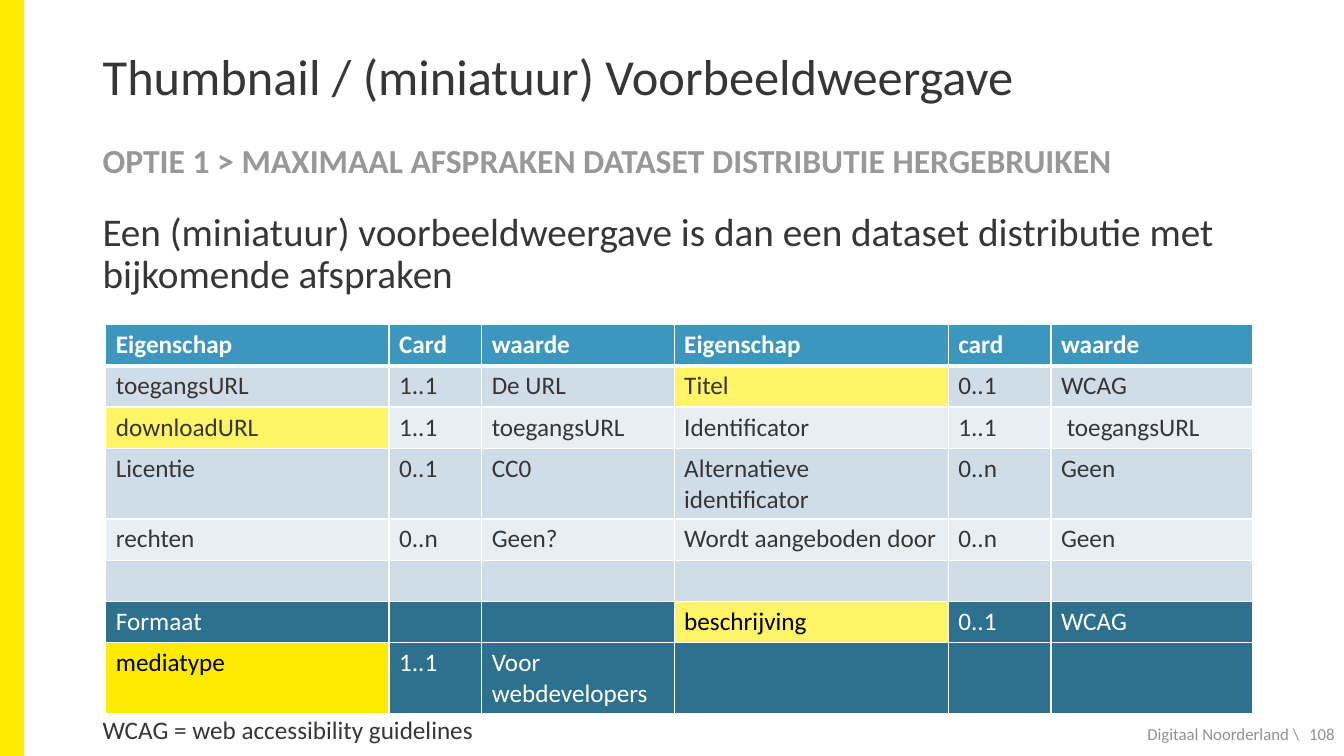
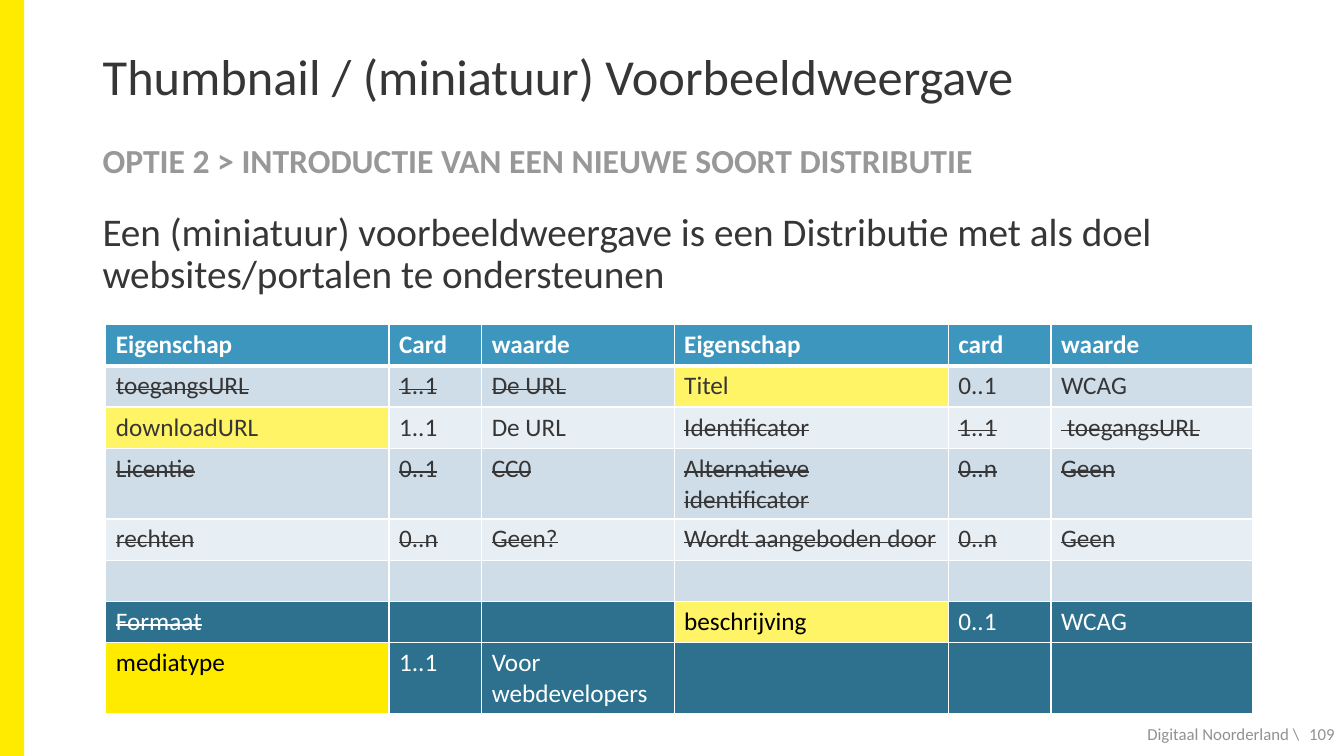
from lxml.etree import SubElement
from pptx import Presentation
from pptx.dml.color import RGBColor
from pptx.enum.shapes import MSO_SHAPE
from pptx.enum.text import MSO_ANCHOR, MSO_AUTO_SIZE, PP_ALIGN
from pptx.oxml.ns import qn
from pptx.util import Pt

YELLOW = RGBColor(0xFF, 0xEB, 0x00)
PALE_YELLOW = RGBColor(0xFF, 0xF3, 0x66)
BLUE = RGBColor(0x3C, 0x96, 0xBE)
DARK_BLUE = RGBColor(0x2D, 0x71, 0x8E)
BAND_ODD = RGBColor(0xCE, 0xDD, 0xE8)
BAND_EVEN = RGBColor(0xE8, 0xEF, 0xF4)
INK = RGBColor(0x37, 0x36, 0x36)
GREY = RGBColor(0x98, 0x98, 0x98)
FOOTER_GREY = RGBColor(0x91, 0x91, 0x91)
WHITE = RGBColor(0xFF, 0xFF, 0xFF)
BLACK = RGBColor(0x00, 0x00, 0x00)

LEFT, WIDTH = 66.2, 828
COLUMN_WIDTHS = (202.3, 66.2, 137.5, 195.8, 73.4, 144)
ROW_HEIGHT = 29.5
FIRST_DARK_ROW = 6
HIGHLIGHTS = {(1, 3): PALE_YELLOW, (2, 0): PALE_YELLOW,
              (6, 3): PALE_YELLOW, (7, 0): YELLOW}


def property_rows(download_value):
    return (
        ("Eigenschap", "Card", "waarde", "Eigenschap", "card", "waarde"),
        ("toegangsURL", "1..1", "De URL", "Titel", "0..1", "WCAG"),
        ("downloadURL", "1..1", download_value, "Identificator", "1..1", " toegangsURL"),
        ("Licentie", "0..1", "CC0", "Alternatieve identificator", "0..n", "Geen"),
        ("rechten", "0..n", "Geen?", "Wordt aangeboden door", "0..n", "Geen"),
        ("",) * 6,
        ("Formaat", "", "", "beschrijving", "0..1", "WCAG"),
        ("mediatype", "1..1", "Voor webdevelopers", "", "", ""),
    )


def write(tf, text, size=18, color=INK, bold=False, strike=False,
          align=PP_ALIGN.LEFT, spacing=None):
    p = tf.paragraphs[0]
    p.alignment = align
    p.line_spacing = spacing
    p.font.size = Pt(size)
    if not text:
        return
    r = p.add_run()
    r.text = text
    r.font.name = "Calibri"
    r.font.size = Pt(size)
    r.font.bold = bold
    r.font.color.rgb = color
    if strike:
        r._r.get_or_add_rPr().set("strike", "sngStrike")


def set_borders(cell, **widths):
    """Draw white cell borders; widths maps L, R, T and B to points."""
    tc_pr = cell._tc.get_or_add_tcPr()
    for side, width in widths.items():
        ln = SubElement(tc_pr, qn(f"a:ln{side}"), w=str(Pt(width)))
        fill = SubElement(ln, qn("a:solidFill"))
        SubElement(fill, qn("a:srgbClr"), val=str(WHITE))


def cell_colors(row, col):
    """Return the fill and text colours of a table cell."""
    if row == 0:
        return BLUE, WHITE
    dark = row >= FIRST_DARK_ROW
    if (row, col) in HIGHLIGHTS:
        return HIGHLIGHTS[row, col], BLACK if dark else INK
    if dark:
        return DARK_BLUE, WHITE
    return (BAND_ODD if row % 2 else BAND_EVEN), INK


class Deck:
    """Holds the shared style and the slide being built."""

    def __init__(self):
        self.prs = Presentation()
        self.prs.slide_width, self.prs.slide_height = Pt(960), Pt(540)
        self.s = None

    def new_slide(self, title, number):
        self.s = self.prs.slides.add_slide(self.prs.slide_layouts[5])
        self.band()
        self.title(title)
        self.text("Digitaal Noorderland \\", 772.6, 509.8, 162.7, 28.8, size=12,
                  color=FOOTER_GREY, align=PP_ALIGN.RIGHT, anchor=MSO_ANCHOR.MIDDLE)
        self.text(str(number), 894.2, 509.8, 66.2, 28.8, size=12,
                  color=FOOTER_GREY, align=PP_ALIGN.RIGHT, anchor=MSO_ANCHOR.MIDDLE)

    def band(self):
        sp = self.s.shapes.add_shape(MSO_SHAPE.RECTANGLE, 0, 0, Pt(17.3), Pt(540))
        sp.shadow.inherit = False
        sp.fill.solid()
        sp.fill.fore_color.rgb = YELLOW
        sp.line.fill.background()

    def title(self, text):
        sp = self.s.shapes.title
        sp.left, sp.top, sp.width, sp.height = Pt(LEFT), Pt(28.8), Pt(WIDTH), Pt(55.4)
        tf = sp.text_frame
        tf.auto_size = MSO_AUTO_SIZE.NONE
        tf.vertical_anchor = MSO_ANCHOR.MIDDLE
        write(tf, text, size=36, spacing=0.9)

    def text(self, text, x, y, w, h, anchor=MSO_ANCHOR.TOP, wrap=True, **style):
        tf = self.s.shapes.add_textbox(Pt(x), Pt(y), Pt(w), Pt(h)).text_frame
        tf.word_wrap = wrap
        tf.vertical_anchor = anchor
        write(tf, text, **style)

    def subtitle(self, text):
        self.text(text, LEFT, 97.9, WIDTH, 36.7, anchor=MSO_ANCHOR.MIDDLE,
                  size=24, color=GREY, bold=True, spacing=0.9)

    def statement(self, text):
        self.text(text, LEFT, 148.3, WIDTH, 80, size=28, spacing=0.9)

    def table(self, rows, struck):
        """Add the property table; struck holds (row, half) pairs to cross out."""
        table = self.s.shapes.add_table(
            len(rows), len(COLUMN_WIDTHS), Pt(75.6), Pt(231.8),
            Pt(sum(COLUMN_WIDTHS)), Pt(ROW_HEIGHT * len(rows))).table
        table.horz_banding = False
        for column, width in zip(table.columns, COLUMN_WIDTHS):
            column.width = Pt(width)
        for i, row in enumerate(rows):
            table.rows[i].height = Pt(ROW_HEIGHT)
            for j, text in enumerate(row):
                cell = table.cell(i, j)
                fill, color = cell_colors(i, j)
                set_borders(cell, L=1, R=1, T=3 if i == 1 else 1, B=3 if i == 0 else 1)
                cell.fill.solid()
                cell.fill.fore_color.rgb = fill
                write(cell.text_frame, text, color=color, bold=i == 0,
                      strike=(i, j // 3) in struck)


def main():
    deck = Deck()
    title = "Thumbnail / (miniatuur) Voorbeeldweergave"

    deck.new_slide(title, 108)
    deck.subtitle("OPTIE 1 > MAXIMAAL AFSPRAKEN DATASET DISTRIBUTIE HERGEBRUIKEN")
    deck.statement("Een (miniatuur) voorbeeldweergave is dan een dataset distributie "
                   "met bijkomende afspraken")
    deck.table(property_rows("toegangsURL"), struck=())
    deck.text("WCAG = web accessibility guidelines", LEFT, 506.9, 283, 28.8, wrap=False)

    deck.new_slide(title, 109)
    deck.subtitle("OPTIE 2 > INTRODUCTIE VAN EEN NIEUWE SOORT DISTRIBUTIE")
    deck.statement("Een (miniatuur) voorbeeldweergave is een Distributie met als doel "
                   "websites/portalen te ondersteunen")
    deck.table(property_rows("De URL"),
               struck={(1, 0), (3, 0), (4, 0), (6, 0), (2, 1), (3, 1), (4, 1)})

    deck.prs.save("out.pptx")


if __name__ == "__main__":
    main()
